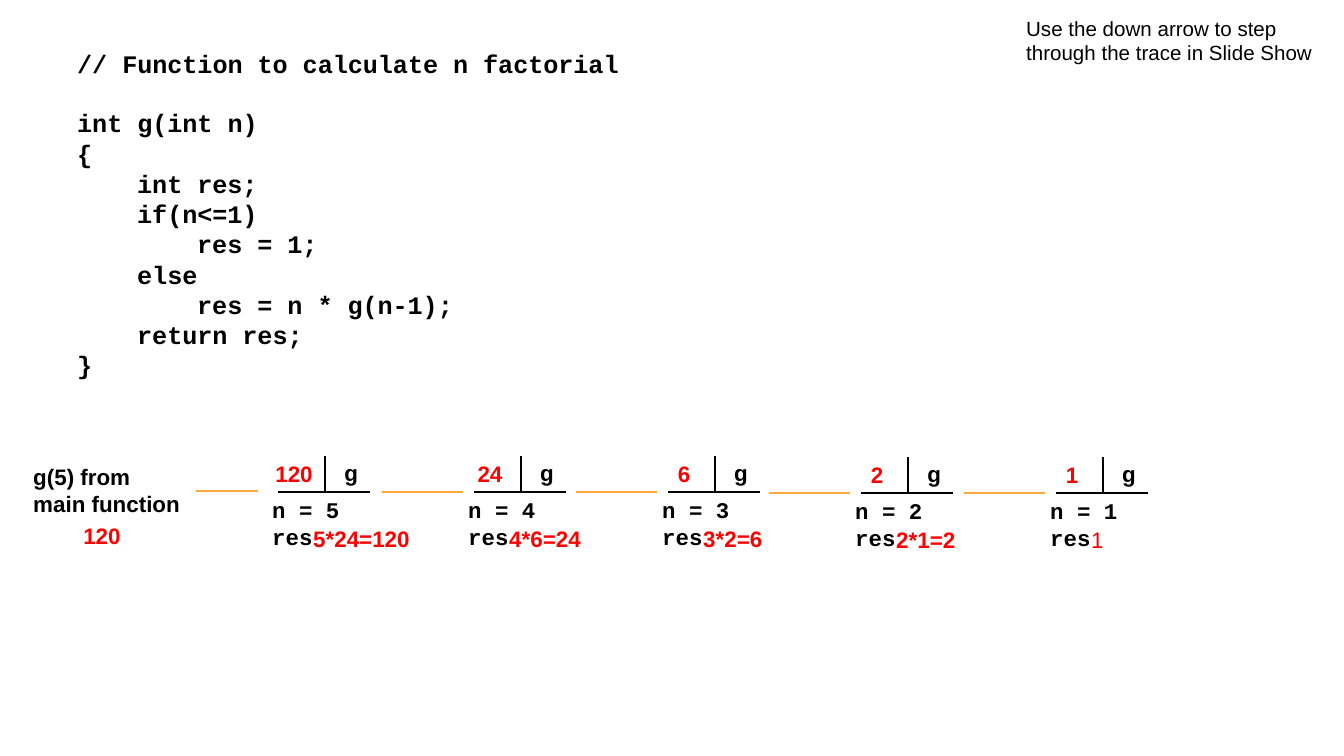
from dataclasses import dataclass

from lxml.etree import SubElement
from pptx import Presentation
from pptx.dml.color import RGBColor
from pptx.enum.shapes import MSO_CONNECTOR
from pptx.enum.text import MSO_ANCHOR, MSO_AUTO_SIZE, PP_ALIGN
from pptx.oxml.ns import qn
from pptx.util import Emu, Pt

SCALE = 914400 / 134.4
BLACK, RED, ORANGE = "000000", "FF0000", "FEA83A"
SANS, MONO = "Arial", "Courier New"
TAB = 60  # one code indent


def px(n: int) -> Emu:
    return Emu(round(n * SCALE))


def paint(fill, tone: str) -> None:
    fill.solid()
    fill.fore_color.rgb = RGBColor.from_string(tone)


@dataclass
class Style:
    size: float = 12
    font: str = SANS
    tone: str = BLACK
    bold: bool = True


@dataclass
class Frame:
    left: int
    drop: int
    n: int
    value: str
    work: str
    bold: bool = True


def write(slide, box: tuple[int, int, int, int], lines: list[tuple[int, str]],
          style: Style, mid: bool = False, center: bool = False,
          grow: bool = False) -> None:
    """Each line is an indent level and its wording."""
    frame = slide.shapes.add_textbox(*map(px, box)).text_frame
    frame.word_wrap = True
    if mid:
        frame.vertical_anchor = MSO_ANCHOR.MIDDLE
    if grow:
        frame.auto_size = MSO_AUTO_SIZE.SHAPE_TO_FIT_TEXT
    for i, (level, words) in enumerate(lines):
        par = frame.add_paragraph() if i else frame.paragraphs[0]
        par.alignment = PP_ALIGN.CENTER if center else PP_ALIGN.LEFT
        par.line_spacing = Pt(style.size * 1.2)
        if level:
            par._p.get_or_add_pPr().set("marL", str(px(level * TAB)))
        run = par.add_run()
        run.text = words
        run.font.size = Pt(style.size)
        run.font.name = style.font
        run.font.bold = style.bold
        paint(run.font.fill, style.tone)


def rule(shapes, ends: tuple[int, int, int, int], tone: str) -> None:
    line = shapes.add_connector(MSO_CONNECTOR.STRAIGHT, *map(px, ends))
    line.line.width = Pt(0.75)
    paint(line.line.fill, tone)
    SubElement(line._element.spPr, qn("a:effectLst"))


def draw(slide, f: Frame) -> None:
    x, y = f.left, f.drop
    # Cell borders
    group = slide.shapes.add_group_shape()
    rule(group.shapes, (x, y + 492, x + 92, y + 492), BLACK)
    rule(group.shapes, (x + 47, y + 492, x + 47, y + 456), BLACK)
    # Name, locals and results
    write(slide, (x + 53, y + 461, 30, 23), [(0, "g")], Style(),
          mid=True, center=True)
    write(slide, (x - 19, y + 490, 95, 67), [(0, f"n = {f.n}"), (0, "res")],
          Style(font=MONO), grow=True)
    write(slide, (x + 22, y + 527, 130, 23), [(0, f.work)],
          Style(tone=RED, bold=f.bold), mid=True)
    write(slide, (x - 17, y + 462, 66, 23), [(0, f.value)], Style(tone=RED),
          mid=True, center=True)


deck = Presentation()
deck.slide_width, deck.slide_height = px(1344), px(756)
slide = deck.slides.add_slide(deck.slide_layouts[6])

# Code
code = Style(13.5, MONO)
write(slide, (64, 42, 786, 46),
      [(0, "// Function to calculate n factorial")], code)
write(slide, (64, 101, 786, 318), [
    (0, "int g(int n)"),
    (0, "{"),
    (1, "int res;"),
    (1, "if(n<=1)"),
    (2, "res = 1;"),
    (1, "else"),
    (2, "res = n * g(n-1);"),
    (1, "return res;"),
    (0, "}"),
], code)

# Hint
write(slide, (1013, 9, 318, 63),
      [(0, "Use the down arrow to step through the trace in Slide Show")],
      Style(11, bold=False), grow=True)

# Caller
write(slide, (20, 457, 177, 67), [(0, "g(5) from main function")], Style(),
      grow=True)
write(slide, (70, 522, 64, 27), [(0, "120")], Style(tone=RED),
      mid=True, center=True)
rule(slide.shapes, (196, 491, 258, 491), ORANGE)

# Call frames
frames = [
    Frame(278, 0, 5, "120", "5*24=120"),
    Frame(474, 0, 4, "24", "4*6=24"),
    Frame(668, 0, 3, "6", "3*2=6"),
    Frame(861, 1, 2, "2", "2*1=2"),
    Frame(1056, 1, 1, "1", "1", bold=False),
]
for f in frames:
    draw(slide, f)
for f in frames[1:]:
    y = f.drop + 492
    rule(slide.shapes, (f.left - 92, y, f.left - 11, y), ORANGE)

deck.save("out.pptx")
